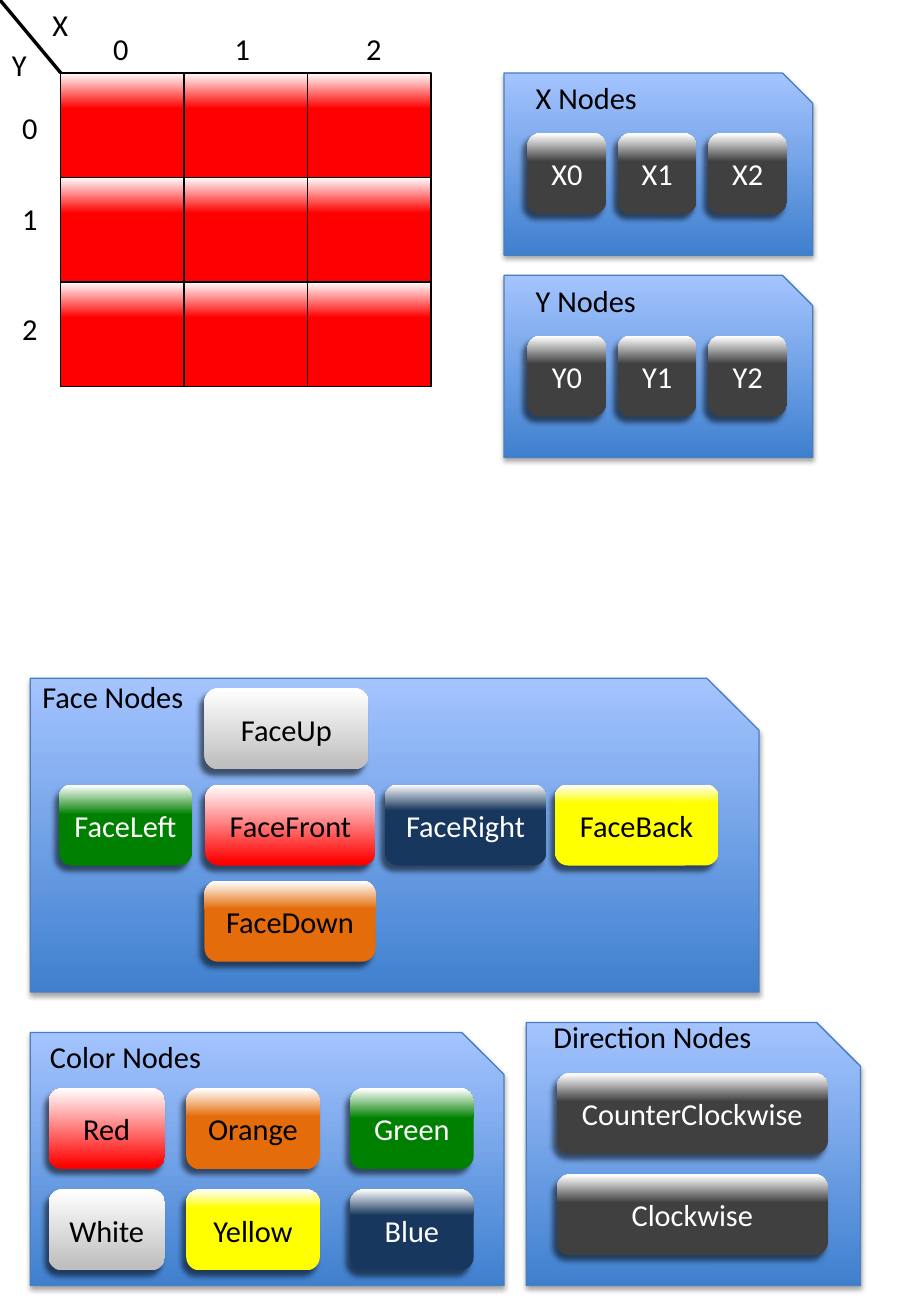
from lxml import etree
from pptx import Presentation
from pptx.dml.color import RGBColor
from pptx.enum.shapes import MSO_CONNECTOR, MSO_SHAPE
from pptx.enum.text import MSO_ANCHOR, MSO_AUTO_SIZE, PP_ALIGN
from pptx.oxml.ns import qn
from pptx.util import Inches, Pt

RECT, ROUND, SNIP = MSO_SHAPE.RECTANGLE, MSO_SHAPE.ROUNDED_RECTANGLE, MSO_SHAPE.SNIP_1_RECTANGLE
STRAIGHT = MSO_CONNECTOR.STRAIGHT
MIDDLE, TOP = MSO_ANCHOR.MIDDLE, MSO_ANCHOR.TOP
CENTER, LEFT = PP_ALIGN.CENTER, PP_ALIGN.LEFT
GROW = MSO_AUTO_SIZE.SHAPE_TO_FIT_TEXT

COLORS = {
    "black": "000000", "white": "FFFFFF", "red": "FF0000", "orange": "E46C0A",
    "green": "008000", "gray": "BFBFBF", "yellow": "FFFF00", "blue": "17375E",
    "dark": "404040", "panel": "3F80CE", "panel_top": "A4C4FF", "panel_line": "4B7EBC",
}
# Node colour: share of the height before it fades, share where white is reached, text colour
NODE_STYLES = {
    "red": (0.04, 1, "black"), "gray": (0.04, 1, "black"),
    "orange": (0.65, 0.99, "black"), "yellow": (0.77, 1, "black"),
    "green": (0.63, 0.99, "white"), "blue": (0.68, 1, "white"),
    "dark": (0.65, 0.99, "white"),
}
# Shadows: opacity %, blur pt, distance pt, direction in degrees
PANEL_SHADOW = (35, 3.1, 1.8, 90)
NODE_SHADOW = (54, 3.2, 4, 128)

prs = Presentation()
prs.slide_width, prs.slide_height = Inches(7.5), Inches(10.83)
# The slide is a grid of 90 columns and 130 rows
COL, ROW = prs.slide_width / 90, prs.slide_height / 130
NODE_H, LABEL_H = 8, 4.8


def rgb(name):
    return RGBColor.from_string(COLORS[name])


def place(x, y, w, h):
    return int(x * COL), int(y * ROW), int(w * COL), int(h * ROW)


def write(shape, text, color="black", align=LEFT, anchor=TOP, wrap=False):
    tf = shape.text_frame
    tf.word_wrap, tf.vertical_anchor = wrap, anchor
    p = tf.paragraphs[0]
    p.alignment = align
    r = p.add_run()
    r.text = text
    r.font.name, r.font.size = "Calibri", Pt(18)
    r.font.color.rgb = rgb(color)


def add_label(shapes, x, y, w, text, wrap=False):
    box = shapes.add_textbox(*place(x, y, w, LABEL_H))
    write(box, text, wrap=wrap)
    box.text_frame.auto_size = GROW


def add_block(shapes, kind, box, bottom, top="white", stops=(0, 1), line=None, shadow=None):
    """Shape with an upward gradient, an optional outline and an optional shadow."""
    shape = shapes.add_shape(kind, *place(*box))
    shape.fill.gradient()
    shape.fill.gradient_angle = 90
    for stop, position, color in zip(shape.fill.gradient_stops, stops, (bottom, top)):
        stop.position = position
        stop.color.rgb = rgb(color)
    if line:
        shape.line.color.rgb, shape.line.width = rgb(line), Pt(0.75)
    else:
        shape.line.fill.background()
    shape.shadow.inherit = False
    if shadow:
        alpha, blur, dist, angle = shadow
        effects = shape._element.spPr.find(qn("a:effectLst"))
        outer = etree.SubElement(effects, qn("a:outerShdw"), blurRad=str(Pt(blur)),
                                 dist=str(Pt(dist)), dir=str(angle * 60000), rotWithShape="0")
        clr = etree.SubElement(outer, qn("a:srgbClr"), val=COLORS["black"])
        etree.SubElement(clr, qn("a:alpha"), val=str(alpha * 1000))
    return shape


def draw_cube_face(s, box, head_w=6, head_h=7.2):
    """Three by three cells with numbered X and Y axes."""
    x, y, w, h = box
    shapes = s.shapes.add_group_shape().shapes
    cell_w, cell_h = (w - head_w) / 3, (h - head_h) / 3
    for i in range(9):
        row, col = divmod(i, 3)
        cell = (x + head_w + col * cell_w, y + head_h + row * cell_h, cell_w, cell_h)
        add_block(shapes, RECT, cell, "red", stops=(0.66, 1), line="black")

    # Axis names, then cell numbers along each axis
    labels = [("X", 4, 0), ("Y", 0, 4)]
    labels += [(str(i), dx, 2.4) for i, dx in enumerate((10, 22, 35))]
    labels += [(str(i), 1, dy) for i, dy in enumerate((10.2, 19.2, 30))]
    for text, dx, dy in labels:
        add_label(shapes, x + dx, y + dy, 5, text, wrap=True)

    # Diagonal between the axis names
    left, top, width, height = place(x, y, head_w, head_h)
    line = shapes.add_connector(STRAIGHT, left, top, left + width, top + height)
    line.line.color.rgb, line.line.width = rgb("black"), Pt(2)
    etree.SubElement(line._element.spPr, qn("a:effectLst"))


def draw_panel(s, box, title, title_at, nodes):
    """Snipped panel; title_at is (dx, dy, width), nodes are (text, color, dx, dy, width)."""
    x, y, _, _ = box
    add_block(s.shapes, SNIP, box, "panel", "panel_top", line="panel_line", shadow=PANEL_SHADOW)
    for text, color, dx, dy, w in nodes:
        start, end, text_color = NODE_STYLES[color]
        node = add_block(s.shapes, ROUND, (x + dx, y + dy, w, NODE_H), color,
                         stops=(start, end), shadow=NODE_SHADOW)
        write(node, text, text_color, CENTER, MIDDLE)
    dx, dy, w = title_at
    add_label(s.shapes, x + dx, y + dy, w, title)


def draw_axis_panel(s, box, axis):
    nodes = [(f"{axis}{i}", "dark", 2.3 + 8.93 * i, 5.95, 7.8) for i in range(3)]
    draw_panel(s, box, f"{axis} Nodes", (1.95, 0.05, 12.5), nodes)


def draw_face_panel(s, box):
    up, middle, down = (1 + 9.5 * i for i in range(3))
    draw_panel(s, box, "Face Nodes", (0, -0.6, 16.6), [
        ("FaceFront", "red", 17.3, middle, 16.8),
        ("FaceDown", "orange", 17.2, down, 16.9),
        ("FaceLeft", "green", 2.8, middle, 13.2),
        ("FaceUp", "gray", 17.2, up, 16.2),
        ("FaceBack", "yellow", 51.8, middle, 16.2),
        ("FaceRight", "blue", 35, middle, 16),
    ])


def draw_color_panel(s, box):
    columns = [(1.8, 11.5), (15.4, 13.2), (31.6, 12.2)]
    rows = [(5.5, (("Red", "red"), ("Orange", "orange"), ("Green", "green"))),
            (15.5, (("White", "gray"), ("Yellow", "yellow"), ("Blue", "blue")))]
    nodes = [(text, color, dx, dy, w) for dy, names in rows
             for (text, color), (dx, w) in zip(names, columns)]
    draw_panel(s, box, "Color Nodes", (0.75, 0, 17.5), nodes)


def draw_direction_panel(s, box):
    nodes = [(text, "dark", 3, 5 + 10 * i, 26.8)
             for i, text in enumerate(("CounterClockwise", "Clockwise"))]
    draw_panel(s, box, "Direction Nodes", (1.5, -1, 22.2), nodes)


s = prs.slides.add_slide(prs.slide_layouts[6])
draw_cube_face(s, (0, 0, 42.6, 38.2))
draw_face_panel(s, (3, 67, 72, 31))
for axis, top in (("X", 7.2), ("Y", 27.2)):
    draw_axis_panel(s, (49.8, top, 30.5, 18), axis)
draw_color_panel(s, (3, 102, 46.8, 25))
draw_direction_panel(s, (52, 101, 33, 26))
prs.save("out.pptx")
